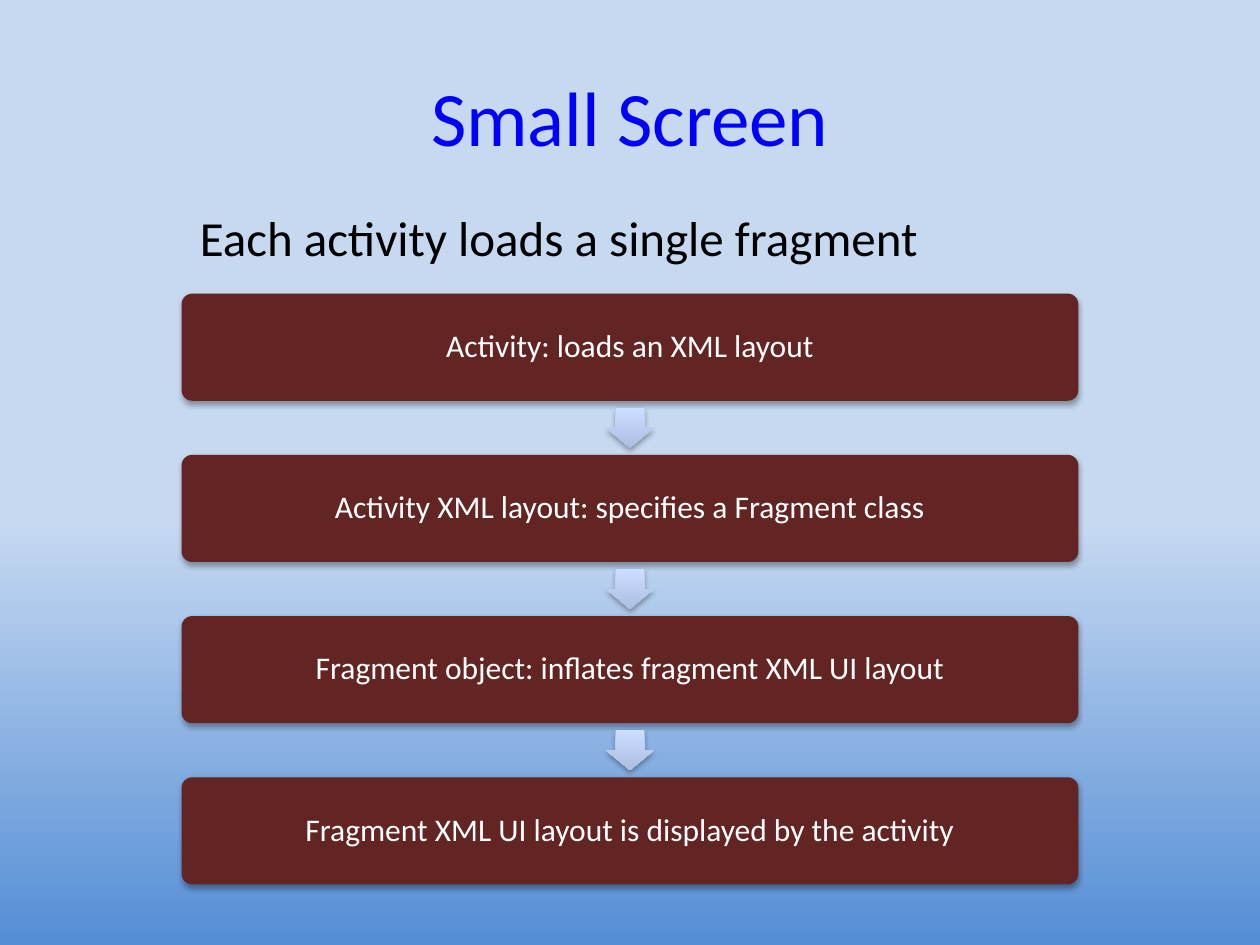
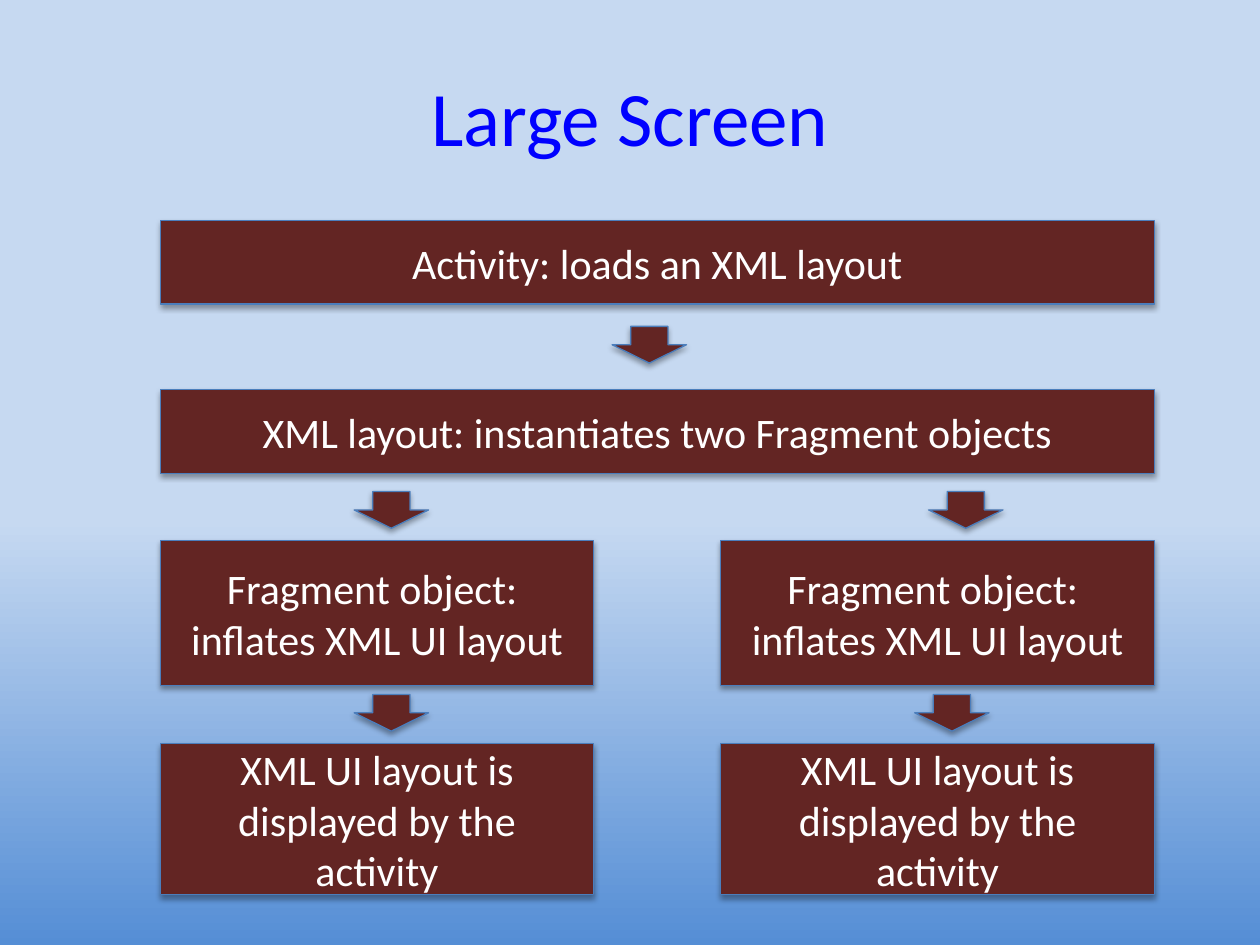
from dataclasses import dataclass
from typing import Optional

from lxml.etree import SubElement
from pptx import Presentation
from pptx.dml.color import RGBColor
from pptx.dml.fill import FillFormat
from pptx.enum.shapes import MSO_SHAPE
from pptx.enum.text import MSO_ANCHOR, MSO_AUTO_SIZE, PP_ALIGN
from pptx.oxml.ns import qn
from pptx.presentation import Presentation as Deck
from pptx.shapes.autoshape import Shape
from pptx.slide import Slide
from pptx.text.text import TextFrame
from pptx.util import Cm, Pt

FONT = "Calibri"
TITLE_BLUE = "0000FF"
MAROON = "632523"
OUTLINE = "4B7EBC"
WHITE = "FFFFFF"
BLACK = "000000"
SKY = ((0.55, "C6D9F1"), (1, "558ED5"))
ARROW_SHADE = ((0, "CCDDFF"), (1, "ADBFE1"))


@dataclass
class Area:
    left: float
    top: float
    width: float
    height: float


@dataclass
class Look:
    kind: MSO_SHAPE
    adjustments: tuple = ()
    outline: Optional[str] = None
    gradient: Optional[tuple] = None
    size: float = 24
    line_spacing: float = 1


@dataclass
class Step:
    text: str
    area: Area


STEP_CARD = Look(MSO_SHAPE.ROUNDED_RECTANGLE, (0.1,), size=18, line_spacing=0.9)
STEP_ARROW = Look(MSO_SHAPE.DOWN_ARROW, (0.6, 0.5), gradient=ARROW_SHADE)
FLOW_BOX = Look(MSO_SHAPE.RECTANGLE, outline=OUTLINE)
FLOW_ARROW = Look(MSO_SHAPE.DOWN_ARROW, outline=OUTLINE)


def colour(value: str) -> RGBColor:
    return RGBColor.from_string(value)


def fill_gradient(fill: FillFormat, stops: tuple) -> None:
    fill.gradient()
    fill.gradient_angle = 270
    for stop, (position, shade) in zip(fill.gradient_stops, stops):
        stop.position = position
        stop.color.rgb = colour(shade)


def add_shadow(shape: Shape) -> None:
    shape.shadow.inherit = False
    effects = shape.element.spPr.find(qn("a:effectLst"))
    shadow = SubElement(effects, qn("a:outerShdw"), blurRad="40000",
                        dist="23000", dir="5400000", rotWithShape="0")
    shade = SubElement(shadow, qn("a:srgbClr"), val=BLACK)
    SubElement(shade, qn("a:alpha"), val="35000")


def write(frame: TextFrame, text: str, size: float, shade: str,
          align: PP_ALIGN = PP_ALIGN.CENTER, line_spacing: float = 1) -> None:
    frame.word_wrap = True
    frame.text = text
    for paragraph in frame.paragraphs:
        paragraph.alignment = align
        paragraph.line_spacing = line_spacing
        paragraph.font.name = FONT
        paragraph.font.size = Pt(size)
        paragraph.font.color.rgb = colour(shade)


def lengths(area: Area) -> tuple:
    return Cm(area.left), Cm(area.top), Cm(area.width), Cm(area.height)


def add_block(page: Slide, look: Look, area: Area, text: str = "") -> None:
    shape = page.shapes.add_shape(look.kind, *lengths(area))
    for index, value in enumerate(look.adjustments):
        shape.adjustments[index] = value
    if look.gradient:
        fill_gradient(shape.fill, look.gradient)
    else:
        shape.fill.solid()
        shape.fill.fore_color.rgb = colour(MAROON)
    if look.outline:
        shape.line.color.rgb = colour(look.outline)
        shape.line.width = Pt(0.75)
    else:
        shape.line.fill.background()
    add_shadow(shape)
    if text:
        shape.text_frame.vertical_anchor = MSO_ANCHOR.MIDDLE
        write(shape.text_frame, text, look.size, WHITE,
              line_spacing=look.line_spacing)


def add_page(deck: Deck, heading: str) -> Slide:
    page = deck.slides.add_slide(deck.slide_layouts[5])
    title = page.shapes.title
    title.left, title.top, title.width, title.height = lengths(
        Area(1.27, 1.27, 22.86, 3.18))
    title.text_frame.vertical_anchor = MSO_ANCHOR.TOP
    write(title.text_frame, heading, 44, TITLE_BLUE)
    return page


def build_small_screen(deck: Deck) -> None:
    page = add_page(deck, "Small Screen")
    box = page.shapes.add_textbox(*lengths(Area(3.78, 4.06, 20.35, 1.45)))
    write(box.text_frame, "Each activity loads a single fragment", 28, BLACK,
          PP_ALIGN.LEFT)
    box.text_frame.auto_size = MSO_AUTO_SIZE.SHAPE_TO_FIT_TEXT

    steps = (
        "Activity: loads an XML layout",
        "Activity XML layout: specifies a Fragment class",
        "Fragment object: inflates fragment XML UI layout",
        "Fragment XML UI layout is displayed by the activity",
    )
    left, first_top, width, height, pitch = 3.66, 5.92, 18.08, 2.16, 3.25
    arrow_width, arrow_height = 0.97, 0.81
    for index, text in enumerate(steps):
        top = first_top + index * pitch
        if index:
            add_block(page, STEP_ARROW, Area(
                left + (width - arrow_width) / 2,
                top - (pitch - height + arrow_height) / 2,
                arrow_width, arrow_height))
        add_block(page, STEP_CARD, Area(left, top, width, height), text)


def build_large_screen(deck: Deck) -> None:
    page = add_page(deck, "Large Screen")
    left, full_width, half_width = 3.23, 20.04, 8.74
    right = left + full_width - half_width
    steps = [
        Step("Activity: loads an XML layout",
             Area(left, 4.45, full_width, 1.68)),
        Step("XML layout: instantiates two Fragment objects",
             Area(left, 7.85, full_width, 1.7)),
    ]
    for column in (left, right):
        steps += [
            Step("Fragment object: \vinflates XML UI layout",
                 Area(column, 10.9, half_width, 2.92)),
            Step("XML UI layout is displayed by the activity",
                 Area(column, 14.99, half_width, 3.05)),
        ]
    for step in steps:
        add_block(page, FLOW_BOX, step.area, step.text)

    arrow_corners = ((12.34, 6.58), (7.14, 9.91), (18.72, 9.91),
                     (7.14, 14), (18.44, 14))
    for arrow_left, arrow_top in arrow_corners:
        add_block(page, FLOW_ARROW, Area(arrow_left, arrow_top, 1.5, 0.74))


def main() -> None:
    deck = Presentation()
    deck.slide_width, deck.slide_height = Cm(25.4), Cm(19.05)
    fill_gradient(deck.slide_master.background.fill, SKY)
    build_small_screen(deck)
    build_large_screen(deck)
    deck.save("out.pptx")


if __name__ == "__main__":
    main()
